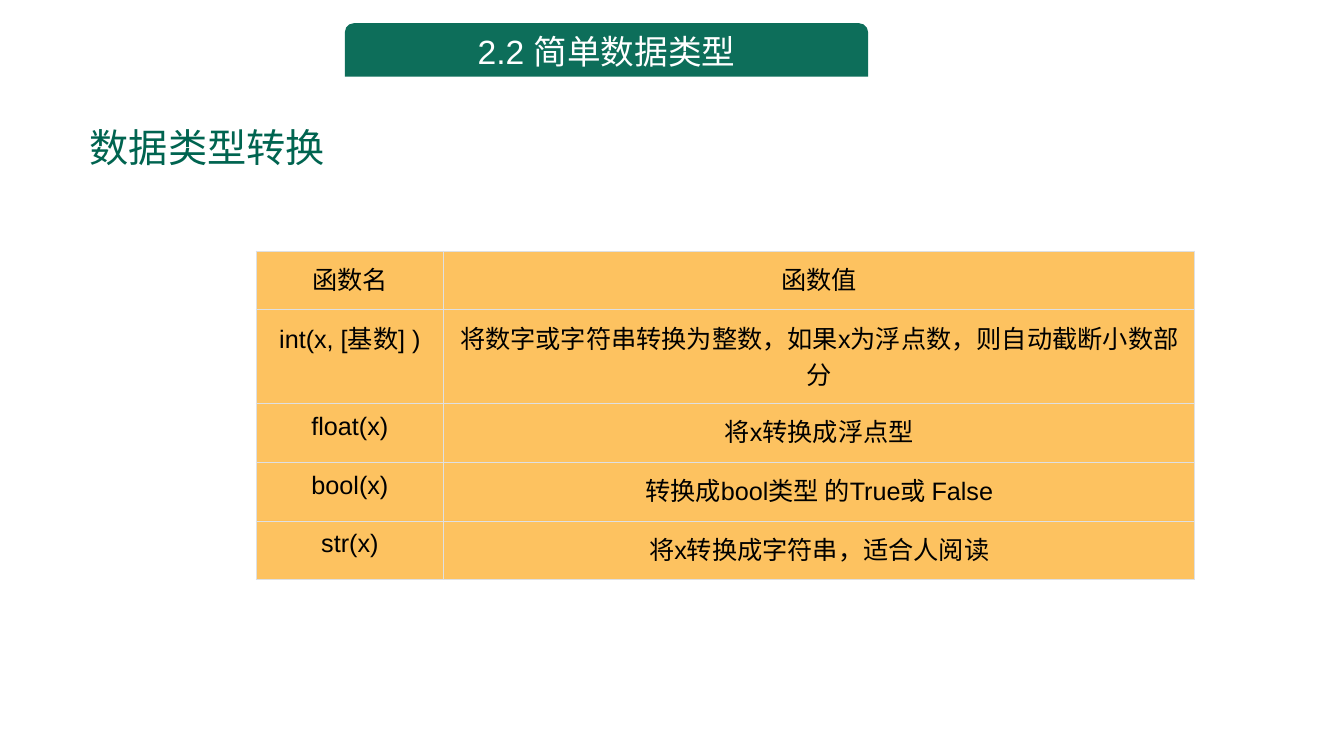
"""Build the slide on data type conversion."""
from lxml import etree
from pptx import Presentation
from pptx.dml.color import RGBColor
from pptx.enum.shapes import MSO_SHAPE
from pptx.enum.text import MSO_ANCHOR, PP_ALIGN
from pptx.oxml.ns import qn
from pptx.util import Inches, Pt

TAB_SHAPE = MSO_SHAPE.ROUND_2_SAME_RECTANGLE
TOP, MIDDLE = MSO_ANCHOR.TOP, MSO_ANCHOR.MIDDLE
LEFT, CENTER = PP_ALIGN.LEFT, PP_ALIGN.CENTER
WIDTH, HEIGHT = Inches(13.33), Inches(7.5)
COLORS = {
    "banner": "0D6E5A",
    "banner_text": "FFFFFF",
    "heading": "006450",
    "cell": "FDA007",
    "cell_text": "000000",
    "border": "DEE0E3",
}
CELL_OPACITY = 64
COLUMN_PARTS = (1, 4)
ROW_HEIGHTS = (7.77, 12.4, 7.77, 7.77, 7.77)
ROWS = [
    ("函数名", "函数值"),
    ("int(x, [基数] )", "将数字或字符串转换为整数，如果x为浮点数，则自动截断小数部分"),
    ("float(x)", "将x转换成浮点型"),
    ("bool(x)", "转换成bool类型 的True或 False"),
    ("str(x)", "将x转换成字符串，适合人阅读"),
]


def across(percent):
    """Return a percentage of the slide width."""
    return int(WIDTH * percent / 100)


def down(percent):
    """Return a percentage of the slide height."""
    return int(HEIGHT * percent / 100)


def box(left, top, width, height):
    """Return a rectangle given in percentages of the slide."""
    return across(left), down(top), across(width), down(height)


def set_attrs(obj, values):
    """Set each named attribute of an object."""
    for name, value in values.items():
        setattr(obj, name, value)


def write(tf, text, size, color, align, anchor):
    """Write one formatted paragraph into a text frame."""
    set_attrs(tf, {"word_wrap": True, "vertical_anchor": anchor})
    p = tf.paragraphs[0]
    set_attrs(p, {"alignment": align, "line_spacing": 1.0})
    r = p.add_run()
    r.text = text
    set_attrs(r.font, {"name": "Arial", "size": Pt(size), "bold": False})
    r.font.color.rgb = RGBColor.from_string(COLORS[color])


def add_banner(slide, text):
    """Add the chapter banner at the top."""
    sp = slide.shapes.add_shape(TAB_SHAPE, *box(25.66, 3.07, 38.93, 7.07))
    sp.shadow.inherit = False
    sp.fill.solid()
    sp.fill.fore_color.rgb = RGBColor.from_string(COLORS["banner"])
    sp.line.fill.background()
    write(sp.text_frame, text, 24, "banner_text", CENTER, MIDDLE)


def set_title(slide, text):
    """Place and fill the title placeholder."""
    sp = slide.shapes.title
    set_attrs(sp, dict(zip(("left", "top", "width", "height"), box(5.93, 15.6, 59.71, 7.6))))
    write(sp.text_frame, text, 28, "heading", LEFT, TOP)


def style_cell(cell):
    """Give a cell its translucent fill, margins and borders."""
    margins = ("margin_left", "margin_right", "margin_top", "margin_bottom")
    set_attrs(cell, dict.fromkeys(margins, Inches(0.09)))
    cell.fill.solid()
    cell.fill.fore_color.rgb = RGBColor.from_string(COLORS["cell"])
    tc_pr = cell._tc.get_or_add_tcPr()
    color = tc_pr.find(qn("a:solidFill"))[0]
    etree.SubElement(color, qn("a:alpha"), val=str(CELL_OPACITY * 1000))
    for i, side in enumerate("LRTB"):
        ln = etree.Element(qn(f"a:ln{side}"), w=str(Pt(0.5)))
        fill = etree.SubElement(ln, qn("a:solidFill"))
        etree.SubElement(fill, qn("a:srgbClr"), val=COLORS["border"])
        tc_pr.insert(i, ln)


def add_function_table(slide):
    """Add the table of conversion functions."""
    area = box(19.05, 33.2, 69.84, sum(ROW_HEIGHTS))
    table = slide.shapes.add_table(len(ROWS), len(COLUMN_PARTS), *area).table
    set_attrs(table, {"first_row": False, "horz_banding": False})
    for column, part in zip(table.columns, COLUMN_PARTS):
        column.width = area[2] * part // sum(COLUMN_PARTS)
    for row, height, texts in zip(table.rows, ROW_HEIGHTS, ROWS):
        row.height = down(height)
        for cell, text in zip(row.cells, texts):
            style_cell(cell)
            write(cell.text_frame, text, 18, "cell_text", CENTER, TOP)


def main():
    """Build and save the presentation."""
    prs = Presentation()
    set_attrs(prs, {"slide_width": WIDTH, "slide_height": HEIGHT})
    slide = prs.slides.add_slide(prs.slide_layouts.get_by_name("Title Only"))
    add_banner(slide, "2.2 简单数据类型")
    set_title(slide, "数据类型转换")
    add_function_table(slide)
    prs.save("out.pptx")


if __name__ == "__main__":
    main()
